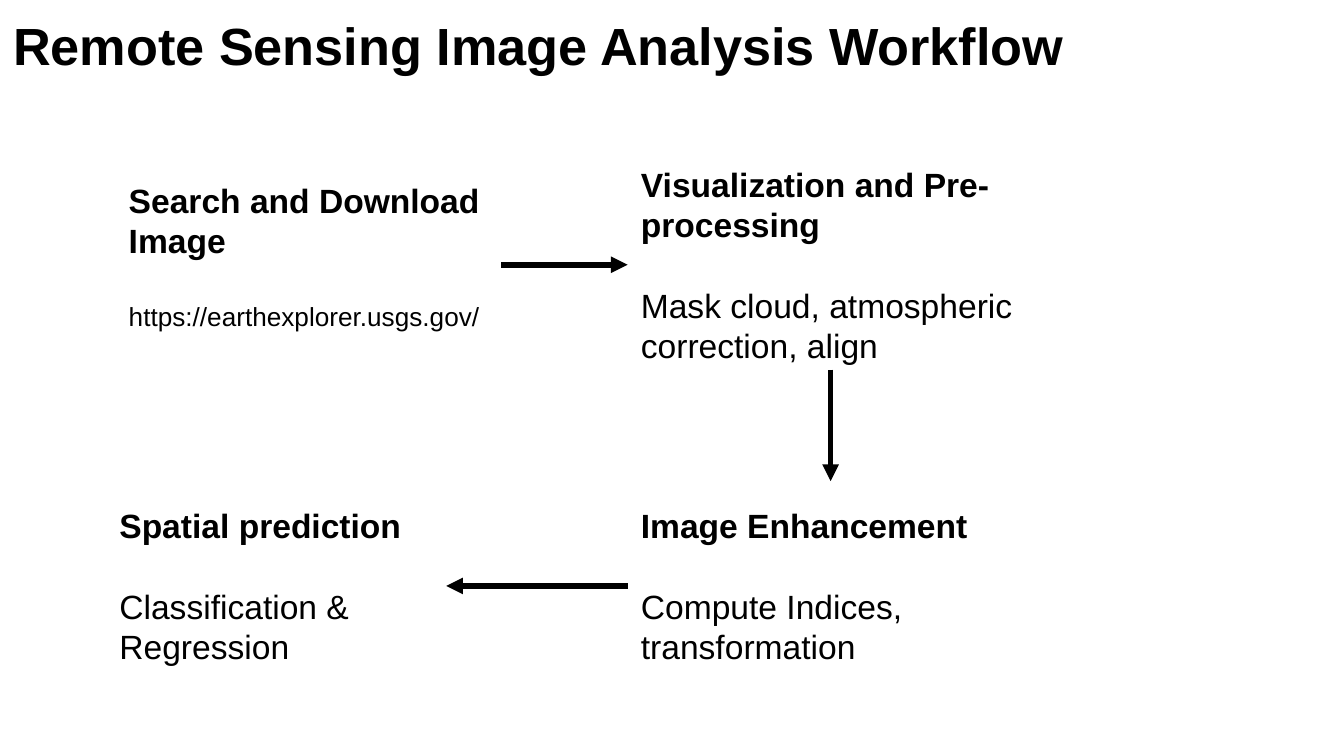
from lxml import etree
from pptx import Presentation
from pptx.dml.color import RGBColor
from pptx.enum.shapes import MSO_CONNECTOR
from pptx.enum.text import MSO_ANCHOR
from pptx.oxml.ns import qn
from pptx.util import Inches, Pt

STRAIGHT = MSO_CONNECTOR.STRAIGHT
TOP, MIDDLE = MSO_ANCHOR.TOP, MSO_ANCHOR.MIDDLE
COLORS = {"ink": "000000", "paper": "FFFFFF"}
INK = RGBColor.from_string(COLORS["ink"])
BLANK_LINE = Pt(21.5)

deck = Presentation()
deck.slide_width = Inches(10)
deck.slide_height = deck.slide_width * 9 // 16
page = deck.slides.add_slide(deck.slide_layouts[6])
page.background.fill.solid()
page.background.fill.fore_color.rgb = RGBColor.from_string(COLORS["paper"])


def add_text(left, top, width, height, anchor, lines):
    box = page.shapes.add_textbox(Inches(left), Inches(top), Inches(width), Inches(height))
    frame = box.text_frame
    frame_format = {"word_wrap": True, "vertical_anchor": anchor}
    for side in ("left", "top", "right", "bottom"):
        frame_format[f"margin_{side}"] = Inches(0.1)
    for name, value in frame_format.items():
        setattr(frame, name, value)
    for index, (text, size, bold) in enumerate(lines):
        para = frame.add_paragraph() if index else frame.paragraphs[0]
        if index:
            para.space_before = BLANK_LINE
        span = para.add_run()
        span.text = text
        for name, value in {"name": "Arial", "size": Pt(size), "bold": bold}.items():
            setattr(span.font, name, value)
        span.font.color.rgb = INK
    return box


add_text(0, 0, 9.32, 0.63, TOP, [("Remote Sensing Image Analysis Workflow", 28, True)])

steps = [
    (0.86, 1.24, 2.87, 1.46, TOP, "Search and Download Image", "https://earthexplorer.usgs.gov/", 14),
    (4.67, 1.19, 3.02, 1.56, MIDDLE, "Visualization and Pre-processing",
     "Mask cloud, atmospheric correction, align", 18),
    (4.67, 3.58, 3.02, 1.56, MIDDLE, "Image Enhancement", "Compute Indices, transformation", 18),
    (0.79, 3.58, 2.53, 1.56, MIDDLE, "Spatial prediction", "Classification & Regression", 18),
]
boxes = []
for left, top, width, height, anchor, heading, detail, size in steps:
    lines = [(heading, 18, True), (detail, size, False)]
    boxes.append(add_text(left, top, width, height, anchor, lines))

for start, end, (start_side, end_side) in zip(boxes, boxes[1:], [(3, 1), (2, 0), (1, 3)]):
    arrow = page.shapes.add_connector(STRAIGHT, 0, 0, 0, 0)
    arrow.begin_connect(start, start_side)
    arrow.end_connect(end, end_side)
    arrow.line.color.rgb = INK
    arrow.line.width = Pt(3)
    etree.SubElement(arrow.line._get_or_add_ln(), qn("a:tailEnd"), type="triangle")
    etree.SubElement(arrow._element.spPr, qn("a:effectLst"))

deck.save("out.pptx")
